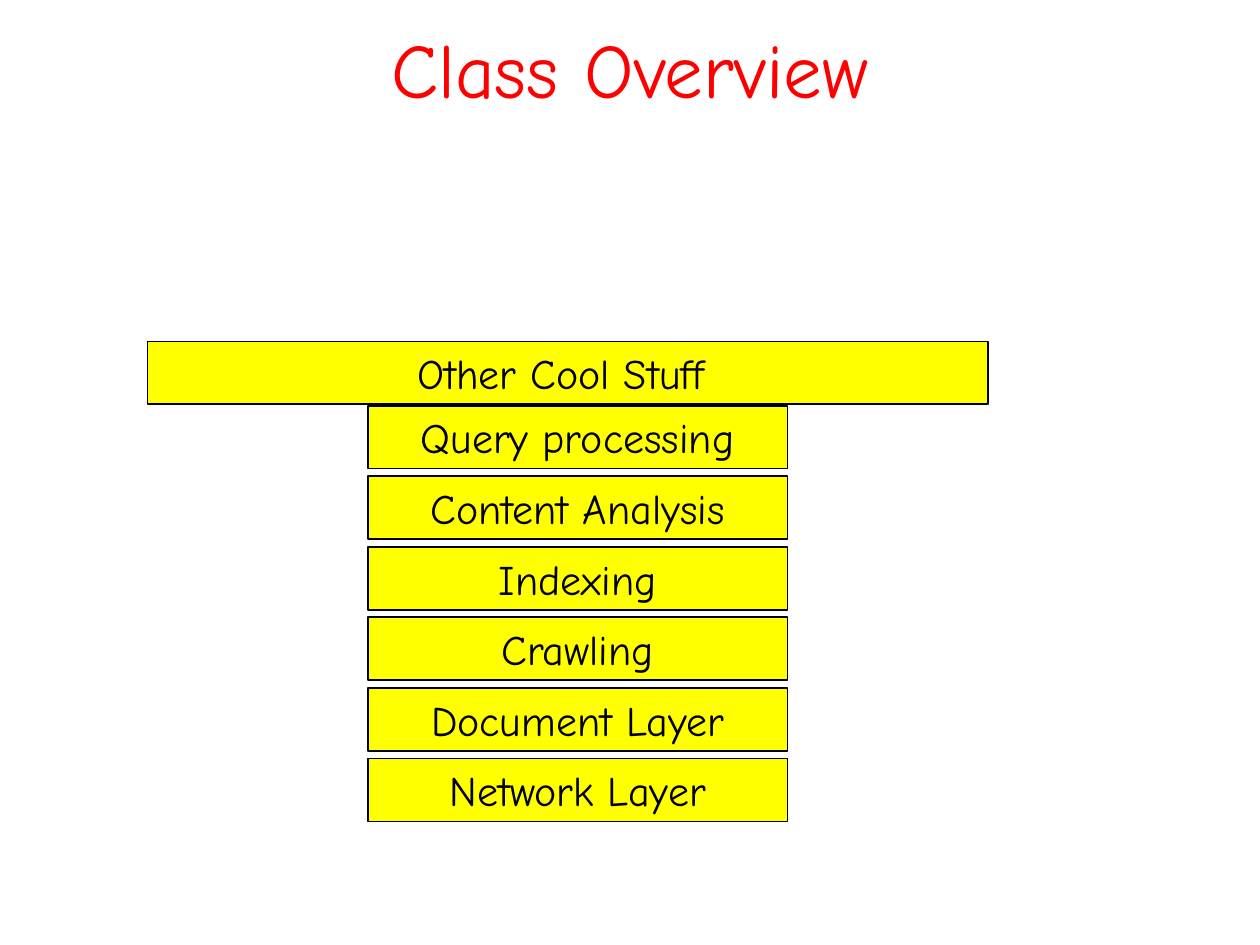
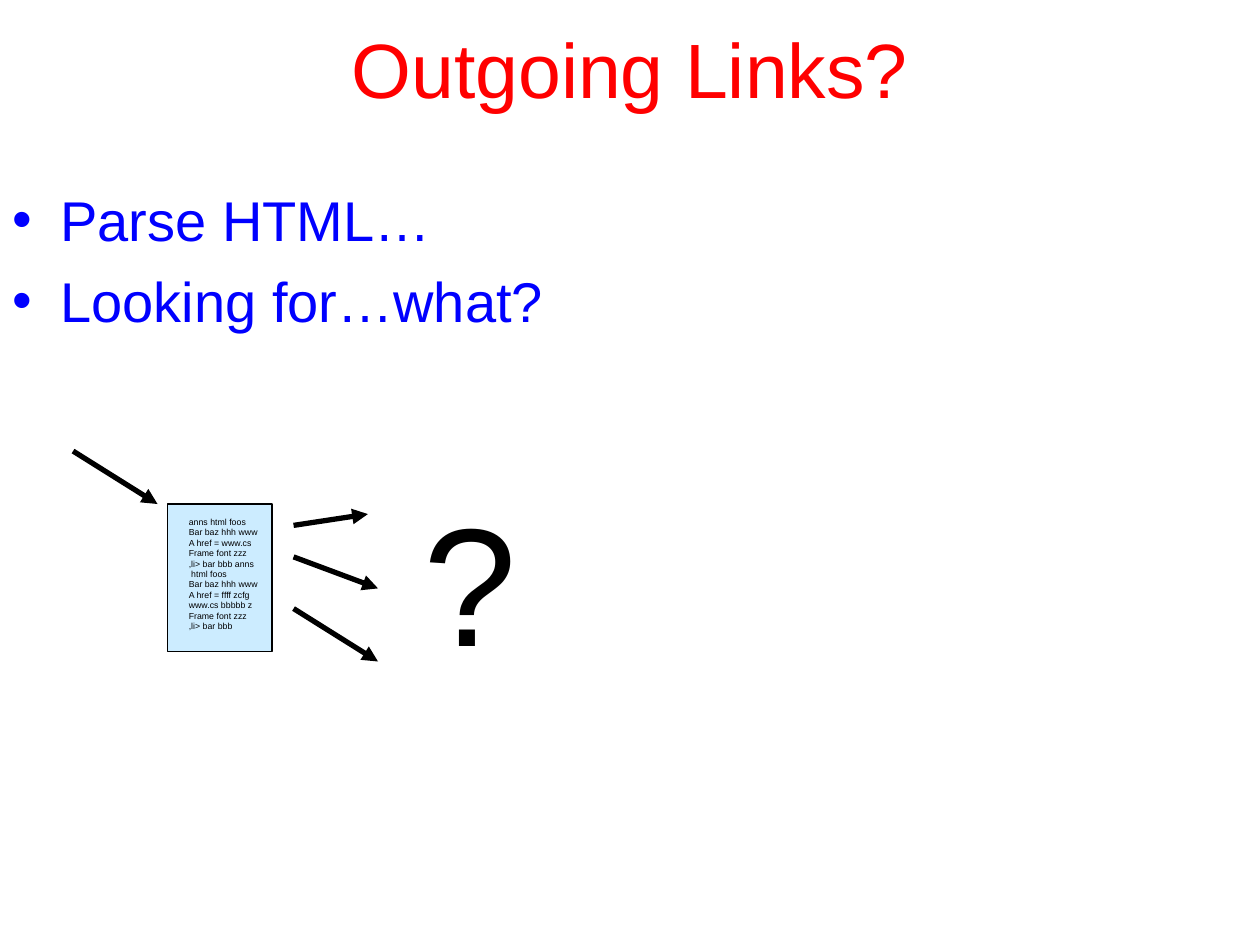
from dataclasses import dataclass

from lxml import etree
from pptx import Presentation
from pptx.dml.color import RGBColor
from pptx.enum.shapes import MSO_CONNECTOR, MSO_SHAPE
from pptx.enum.text import MSO_ANCHOR, MSO_AUTO_SIZE, PP_ALIGN
from pptx.oxml.ns import qn
from pptx.util import Pt

RECTANGLE = MSO_SHAPE.RECTANGLE
STRAIGHT = MSO_CONNECTOR.STRAIGHT
LEFT, CENTER = PP_ALIGN.LEFT, PP_ALIGN.CENTER
TOP, MIDDLE = MSO_ANCHOR.TOP, MSO_ANCHOR.MIDDLE
NO_AUTOSIZE = MSO_AUTO_SIZE.NONE
PX = 9144  # 100 px to the inch
TITLE_ONLY, TITLE_AND_BODY = 5, 1


@dataclass(frozen=True)
class Theme:
    red: RGBColor = RGBColor(0xFF, 0x00, 0x00)
    blue: RGBColor = RGBColor(0x00, 0x00, 0xFF)
    black: RGBColor = RGBColor(0x00, 0x00, 0x00)
    yellow: RGBColor = RGBColor(0xFF, 0xFF, 0x00)
    pale_blue: RGBColor = RGBColor(0xCC, 0xEC, 0xFF)
    sans: str = "Arial"
    comic: str = "Comic Neue"
    title_size: int = 44
    body_size: int = 32
    layer_size: int = 24
    page_size: int = 5
    question_size: int = 96


theme = Theme()


def place_text(shape, box, lines, size, color, font, align=LEFT, anchor=TOP, wrap=True):
    """Move the shape to box (left, top, width, height in px) and write one paragraph a line."""
    shape.left, shape.top, shape.width, shape.height = (value * PX for value in box)
    frame = shape.text_frame
    frame.word_wrap = wrap
    frame.auto_size = NO_AUTOSIZE
    frame.vertical_anchor = anchor
    for index, line in enumerate(lines):
        paragraph = frame.add_paragraph() if index else frame.paragraphs[0]
        paragraph.alignment = align
        run = paragraph.add_run()
        run.text = line
        run.font.size = Pt(size)
        run.font.name = font
        run.font.color.rgb = color
    return frame


def add_rectangle(slide, box, fill, line_width):
    shape = slide.shapes.add_shape(RECTANGLE, *(value * PX for value in box))
    shape.shadow.inherit = False
    shape.fill.solid()
    shape.fill.fore_color.rgb = fill
    shape.line.color.rgb = theme.black
    shape.line.width = Pt(line_width)
    return shape


presentation = Presentation()
presentation.slide_width = 1000 * PX
presentation.slide_height = 750 * PX

slides = []
for layout, title, font in (
    (TITLE_ONLY, "Class Overview", theme.comic),
    (TITLE_AND_BODY, "Outgoing Links?", theme.sans),
):
    slide = presentation.slides.add_slide(presentation.slide_layouts[layout])
    place_text(slide.shapes.title, (50, 0, 900, 108), [title],
               theme.title_size, theme.red, font, CENTER, MIDDLE)
    slides.append(slide)
overview, links = slides

# Class Overview: a stack of layers under one wide bar
layers = ["Query processing", "Content Analysis", "Indexing",
          "Crawling", "Document Layer", "Network Layer"]
layer_top, layer_step = 322, 56
bars = [(name, (292, layer_top + row * layer_step, 333, 50))
        for row, name in enumerate(layers)]
bars.append(("Other Cool Stuff ", (117, 271, 667, 50)))
for name, box in bars:
    bar = add_rectangle(overview, box, theme.yellow, 1)
    place_text(bar, box, [name], theme.layer_size, theme.black, theme.comic, CENTER, MIDDLE)

# Outgoing Links: bullet list
body = place_text(links.placeholders[1], (0, 142, 1000, 200),
                  ["Parse HTML…", "Looking for…what?"],
                  theme.body_size, theme.blue, theme.sans)
for index, paragraph in enumerate(body.paragraphs):
    properties = paragraph._p.get_or_add_pPr()
    properties.set("marL", str(38 * PX))
    properties.set("indent", str(-38 * PX))
    bullet_color = etree.SubElement(properties, qn("a:buClr"))
    etree.SubElement(bullet_color, qn("a:srgbClr"), val=str(theme.blue))
    etree.SubElement(properties, qn("a:buChar"), char="•")
    paragraph.space_before = Pt(8 if index else 0)

# Outgoing Links: a web page with arrows in and out
add_rectangle(links, (133, 400, 83, 117), theme.pale_blue, 0.75)
page_lines = [
    "anns html foos",
    "Bar baz hhh www",
    "A href = www.cs",
    "Frame font zzz",
    ",li> bar bbb anns",
    " html foos",
    "Bar baz hhh www",
    "A href = ffff zcfg",
    "www.cs bbbbb z",
    "Frame font zzz",
    ",li> bar bbb",
]
for box, lines, size in (
    ((140, 405, 75, 110), page_lines, theme.page_size),
    ((326, 375, 94, 170), ["?"], theme.question_size),
):
    text_box = links.shapes.add_textbox(0, 0, 0, 0)
    place_text(text_box, box, lines, size, theme.black, theme.sans, wrap=False)

arrows = [
    (58, 358, 125, 400),
    (233, 417, 292, 408),
    (233, 442, 300, 467),
    (233, 483, 300, 525),
]
for ends in arrows:
    arrow = links.shapes.add_connector(STRAIGHT, *(value * PX for value in ends))
    arrow.line.color.rgb = theme.black
    arrow.line.width = Pt(3)
    etree.SubElement(arrow.line._get_or_add_ln(), qn("a:tailEnd"), type="triangle")
    etree.SubElement(arrow._element.spPr, qn("a:effectLst"))

presentation.save("out.pptx")
